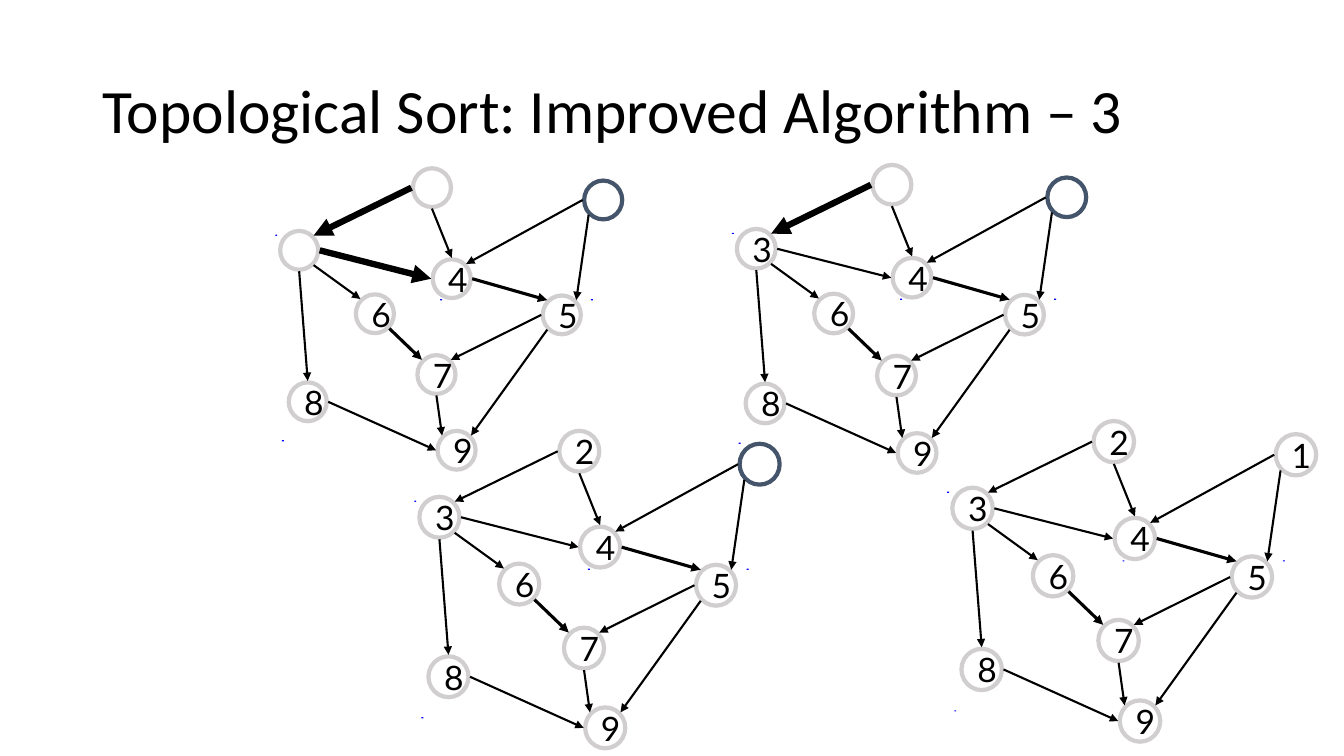
from math import cos, radians, sin

from lxml import etree
from pptx import Presentation
from pptx.dml.color import RGBColor
from pptx.enum.shapes import MSO_CONNECTOR, MSO_SHAPE
from pptx.enum.text import MSO_ANCHOR, PP_ALIGN
from pptx.oxml.ns import qn
from pptx.util import Cm, Pt

ELLIPSE, RECTANGLE = MSO_SHAPE.OVAL, MSO_SHAPE.RECTANGLE
STRAIGHT = MSO_CONNECTOR.STRAIGHT
MIDDLE, LEFT = MSO_ANCHOR.MIDDLE, PP_ALIGN.LEFT

BLACK, WHITE, BLUE = "000000", "FFFFFF", "0000FF"
GREY, SLATE = "D0CECE", "44546A"

# One full-size graph in cm, measured from the top left of node 3
NODE_WIDTH, NODE_HEIGHT = 1.02, 1.04
EDGE_GAP = 0.04
NODES = {
    2: (3.56, -1.68), 7: (3.68, 3.33), 4: (4.09, 0.76),
    8: (0.23, 4.06), 5: (7.04, 1.73), 6: (2.03, 1.7),
    1: (8.15, -1.35), 3: (0, 0), 9: (4.22, 5.36),
}
SPECKS = [(-0.13, 0.1), (4.29, 1.83), (8.33, 1.83), (0.05, 5.61)]

# Clockwise angles of the points on a node where edges attach
ANGLES = {"E": 0, "SE": 45, "S": 90, "SW": 135,
          "W": 180, "NW": 225, "N": 270, "NE": 315}
EDGES = [
    (2, "W", 3, "NE"), (2, "S", 4, "N"), (1, "W", 4, "NE"),
    (5, "W", 7, "NE"), (5, "SW", 9, "NE"), (8, "E", 9, "W"),
    (7, "S", 9, "NW"), (6, "SE", 7, "NW"), (3, "SE", 6, "NW"),
    (3, "S", 8, "N"), (3, "E", 4, "W"), (4, "E", 5, "NW"),
    (1, "SW", 5, "NE"),
]
MEDIUM_EDGES = {(6, 7), (4, 5)}

# Left, top, scale, nodes without a number, highlighted edges
GRAPHS = [
    (7.06, 5.82, 0.94, {1, 2, 3}, {(2, 3), (3, 4)}),
    (18.57, 5.77, 0.96, {1, 2}, {(2, 3)}),
    (10.57, 12.52, 0.99, {1}, set()),
    (24, 12.29, 1, set(), set()),
]


def color(value):
    return RGBColor.from_string(value)


def write_text(shape, text, font, size, wrap=True, line_spacing=None):
    frame = shape.text_frame
    frame.word_wrap = wrap
    frame.vertical_anchor = MIDDLE
    paragraph = frame.paragraphs[0]
    paragraph.alignment = LEFT
    paragraph.line_spacing = line_spacing
    run = paragraph.add_run()
    run.text = text
    run.font.name = font
    run.font.size = Pt(size)
    run.font.color.rgb = color(BLACK)


def add_filled(group, kind, left, top, width, height, fill, line=None):
    shape = group.shapes.add_shape(kind, Cm(left), Cm(top), Cm(width), Cm(height))
    shape.shadow.inherit = False
    shape.fill.solid()
    shape.fill.fore_color.rgb = color(fill)
    if line:
        shape.line.color.rgb = color(line)
        shape.line.width = Pt(3)
    else:
        shape.line.fill.background()
    return shape


def add_arrow(group, start, end, weight):
    arrow = group.shapes.add_connector(STRAIGHT, *map(Cm, start + end))
    arrow.line.color.rgb = color(BLACK)
    arrow.line.width = Pt(weight)
    etree.SubElement(arrow.line._get_or_add_ln(), qn("a:tailEnd"), type="triangle")
    etree.SubElement(arrow._element.spPr, qn("a:effectLst"))


def attach_point(node, side):
    """Return the point just outside a node on the given side."""
    left, top = NODES[node]
    angle = radians(ANGLES[side])
    return (left + NODE_WIDTH / 2 + (NODE_WIDTH / 2 + EDGE_GAP) * cos(angle),
            top + NODE_HEIGHT / 2 + (NODE_HEIGHT / 2 + EDGE_GAP) * sin(angle))


def add_graph(slide, left, top, scale, blank_nodes, bold_edges):
    group = slide.shapes.add_group_shape()

    def place(point):
        return left + point[0] * scale, top + point[1] * scale

    for speck in SPECKS:
        add_filled(group, RECTANGLE, *place(speck), 0.05, 0.03, BLUE)

    for node, corner in NODES.items():
        is_blank = node in blank_nodes
        outline = SLATE if node == 1 and is_blank else GREY
        circle = add_filled(group, ELLIPSE, *place(corner), NODE_WIDTH * scale,
                            NODE_HEIGHT * scale, WHITE, outline)
        if not is_blank:
            write_text(circle, str(node), font="Lato", size=24, wrap=False)

    for source, source_side, target, target_side in EDGES:
        edge = (source, target)
        weight = 4.5 if edge in bold_edges else 2.25 if edge in MEDIUM_EDGES else 1.5
        add_arrow(group, place(attach_point(source, source_side)),
                  place(attach_point(target, target_side)), weight)


def add_title(slide, text):
    title = slide.shapes.add_textbox(Cm(2.33), Cm(1.01), Cm(29.21), Cm(3.68))
    write_text(title, text, font="Calibri", size=44, line_spacing=0.9)


def main():
    presentation = Presentation()
    presentation.slide_width = Cm(33.87)
    presentation.slide_height = Cm(19.05)
    slide = presentation.slides.add_slide(presentation.slide_layouts[6])

    add_title(slide, "Topological Sort: Improved Algorithm – 3")
    for graph in GRAPHS:
        add_graph(slide, *graph)

    presentation.save("out.pptx")


main()
